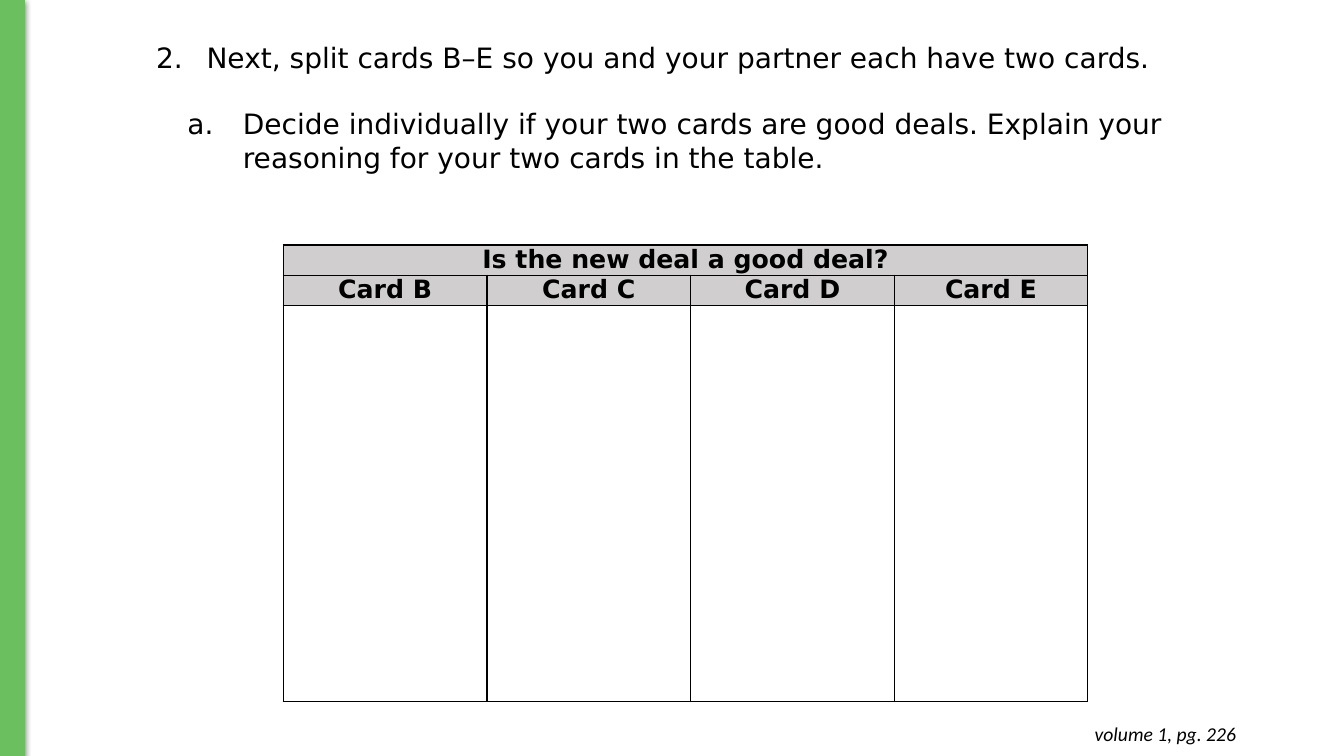
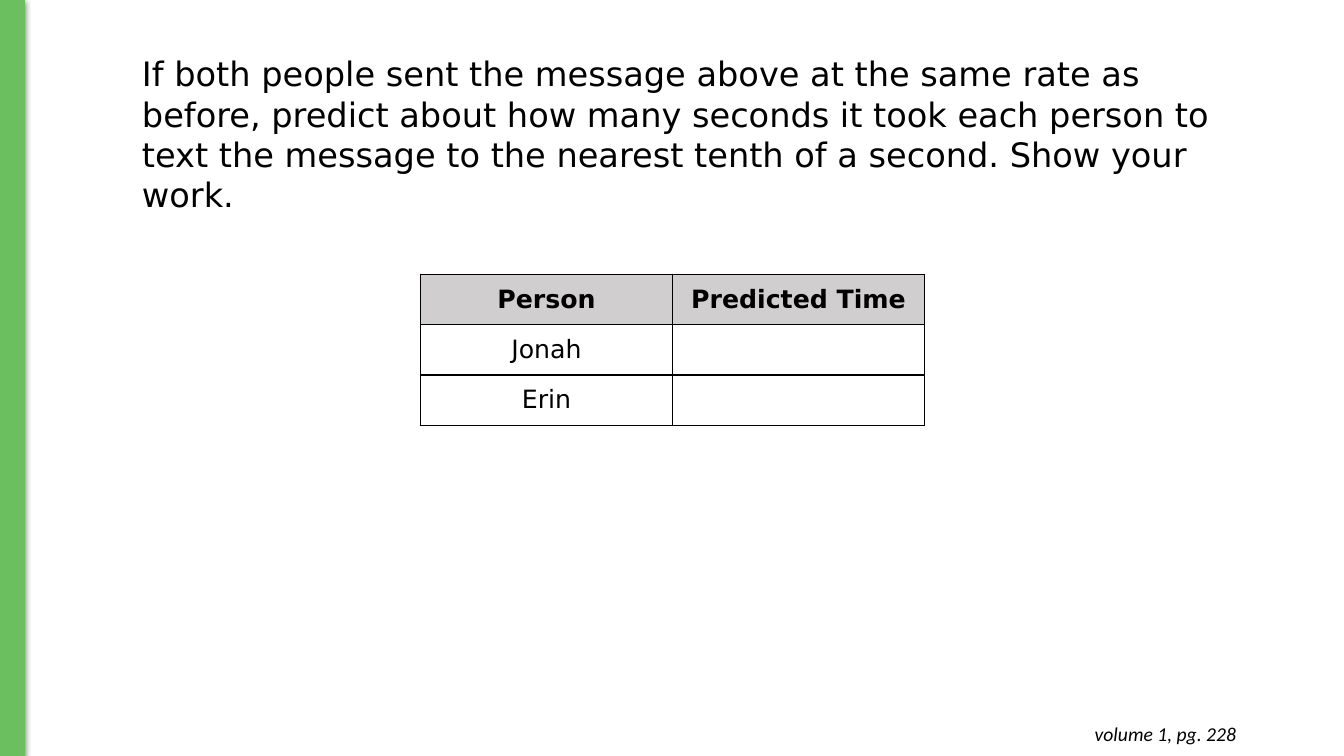
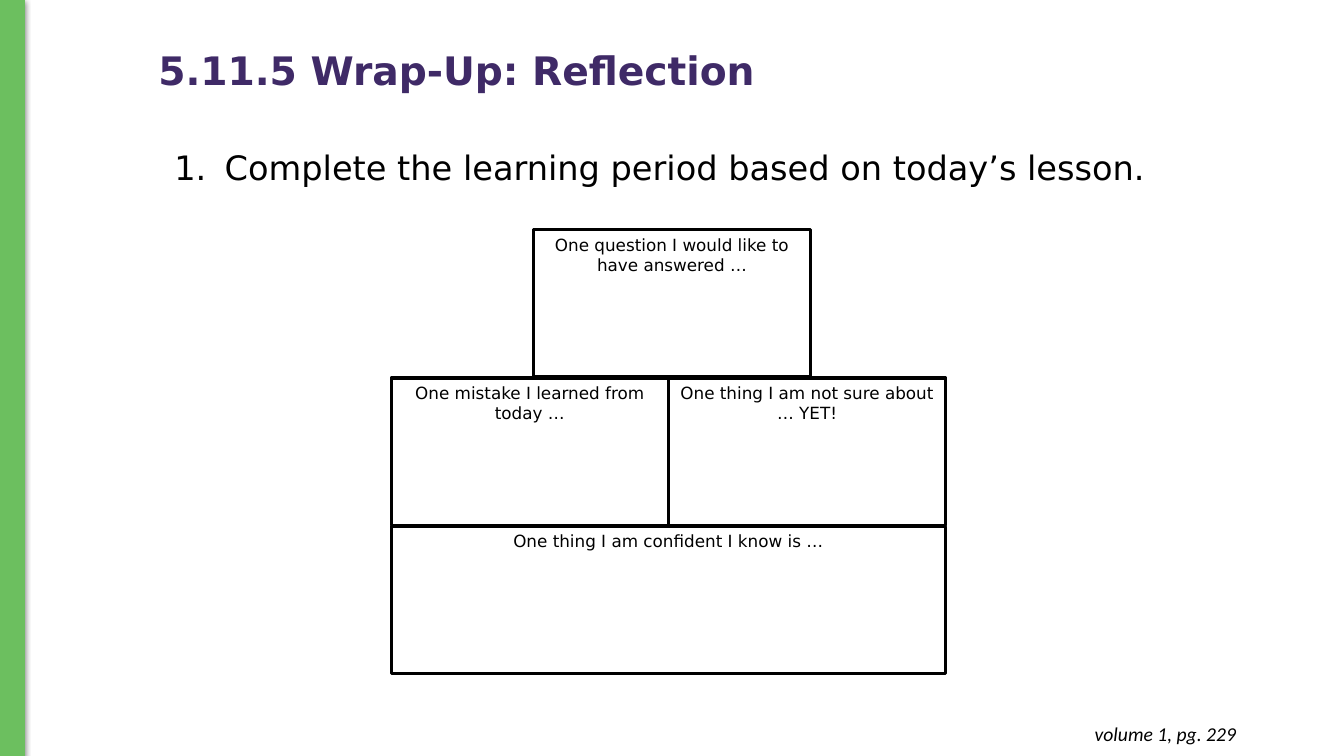
from pptx import Presentation
from pptx.dml.color import RGBColor
from pptx.enum.shapes import MSO_SHAPE
from pptx.enum.text import MSO_ANCHOR, MSO_AUTO_SIZE, PP_ALIGN
from pptx.util import Inches, Pt
from lxml.etree import SubElement
from pptx.oxml.ns import qn

GREEN, PURPLE, GREY = "6CBF5F", "3F2A67", "D0CECE"
BLACK, WHITE = "000000", "FFFFFF"
FONT = "DejaVu Sans"
TITLE_ONLY, BLANK = 5, 6


def color(code):
    return RGBColor.from_string(code)


def tint(parent, code):
    """Add an XML colour below parent."""
    return SubElement(parent, qn("a:srgbClr"), val=code)


class Deck:
    """Holds the style and the current slide."""

    def __init__(self):
        self.prs = Presentation()
        self.prs.slide_width = Inches(13.33)
        self.prs.slide_height = Inches(7.5)

    def start(self, page, title=None):
        """New slide with side band, page note and perhaps a title."""
        layout = BLANK if title is None else TITLE_ONLY
        self.slide = self.prs.slides.add_slide(self.prs.slide_layouts[layout])
        self.band()
        if title:
            self.title(title)
        self.note(page)

    def style(self, para, size, bold=False, italic=False, name=FONT, tone=BLACK):
        font = para.font
        font.name, font.size = name, Pt(size)
        font.bold, font.italic = bold, italic
        font.color.rgb = color(tone)

    def rect(self, box, fill, line, width):
        shape = self.slide.shapes.add_shape(MSO_SHAPE.RECTANGLE, *map(Inches, box))
        shape.fill.solid()
        shape.fill.fore_color.rgb = color(fill)
        shape.line.color.rgb = color(line)
        shape.line.width = Pt(width)
        shape.shadow.inherit = False
        return shape

    def band(self):
        bar = self.rect((0, 0, 0.24, 7.5), GREEN, GREEN, 0.75)
        effects = bar._element.spPr.find(qn("a:effectLst"))
        shade = SubElement(effects, qn("a:outerShdw"), blurRad=str(Pt(4.5)),
                           dist=str(Pt(1.5)), dir="5400000", rotWithShape="0")
        SubElement(tint(shade, BLACK), qn("a:alpha"), val="50000")

    def title(self, text):
        head = self.slide.shapes.title
        head.left, head.top = Inches(1.47), Inches(0)
        head.width, head.height = Inches(8.77), Inches(1.44)
        frame = head.text_frame
        frame.text = text
        frame.auto_size = MSO_AUTO_SIZE.NONE
        frame.vertical_anchor = MSO_ANCHOR.MIDDLE
        para = frame.paragraphs[0]
        para.alignment = PP_ALIGN.LEFT
        para.line_spacing = 0.9
        self.style(para, 28, bold=True, tone=PURPLE)

    def frame(self, box):
        frame = self.slide.shapes.add_textbox(*map(Inches, box)).text_frame
        frame.word_wrap = True
        frame.auto_size = MSO_AUTO_SIZE.SHAPE_TO_FIT_TEXT
        return frame

    def note(self, page):
        frame = self.frame((9.48, 7.06, 2.88, 0.44))
        frame.margin_top = frame.margin_bottom = Inches(0.1)
        para = frame.paragraphs[0]
        para.text = f"volume 1, pg. {page}"
        para.alignment = PP_ALIGN.RIGHT
        self.style(para, 14, italic=True, name="Calibri")

    def text(self, box, size, items, gap=0):
        """Each item is (text, mark); a mark is (kind, start, left, hang)."""
        frame = self.frame(box)
        for i, (words, mark) in enumerate(items):
            para = frame.add_paragraph() if i else frame.paragraphs[0]
            para.text = words
            if i:
                para.space_before = Pt(gap)
            if mark:
                self.number(para, *mark)
            self.style(para, size)

    def number(self, para, kind, start, left, hang):
        props = para._p.get_or_add_pPr()
        props.set("marL", str(Inches(left)))
        props.set("indent", str(-Inches(hang)))
        tint(SubElement(props, qn("a:buClr")), BLACK)
        SubElement(props, qn("a:buAutoNum"), type=kind, startAt=str(start))

    def table(self, spot, cols, rows, cells, heads, side, anchor):
        """Grid whose first heads rows are bold on grey."""
        size = sum(cols), sum(rows)
        grid = self.slide.shapes.add_table(
            len(rows), len(cols), *map(Inches, spot + size)).table
        grid.first_row = grid.horz_banding = False
        for col, width in zip(grid.columns, cols):
            col.width = Inches(width)
        for row, height in zip(grid.rows, rows):
            row.height = Inches(height)
        for r, row in enumerate(grid.rows):
            for cell, words in zip(row.cells, cells[r]):
                self.cell(cell, words, r < heads, side, anchor)
        return grid

    def cell(self, cell, words, head, side, anchor):
        cell.margin_left = cell.margin_right = Inches(side)
        cell.margin_top = cell.margin_bottom = 0
        cell.vertical_anchor = anchor
        props = cell._tc.get_or_add_tcPr()
        for edge in "LRTB":
            line = SubElement(props, qn(f"a:ln{edge}"), w=str(Pt(1)))
            tint(SubElement(line, qn("a:solidFill")), BLACK)
        if head:
            cell.fill.solid()
            cell.fill.fore_color.rgb = color(GREY)
        else:
            cell.fill.background()
        para = cell.text_frame.paragraphs[0]
        para.text = words
        para.alignment = PP_ALIGN.CENTER
        self.style(para, 18, bold=head)

    def block(self, box, words):
        frame = self.rect(box, WHITE, BLACK, 2.25).text_frame
        frame.word_wrap = True
        frame.vertical_anchor = MSO_ANCHOR.TOP
        para = frame.paragraphs[0]
        para.text = words
        para.alignment = PP_ALIGN.CENTER
        para.space_after = Pt(10)
        self.style(para, 12)


def main():
    deck = Deck()

    # Card deals
    deck.start(226)
    deck.text((1.31, 0.35, 10.89, 1.45), 20, [
        ("Next, split cards B–E so you and your partner each have two cards.",
         ("arabicPeriod", 2, 0.64, 0.5)),
        ("Decide individually if your two cards are good deals. Explain your "
         "reasoning for your two cards in the table.",
         ("alphaLcPeriod", 1, 1, 0.55)),
    ], gap=23.5)
    grid = deck.table(
        (2.81, 2.43), [2.02, 2.02, 2.02, 1.92], [0.28, 0.28, 3.93],
        [["Is the new deal a good deal?", "", "", ""],
         [f"Card {card}" for card in "BCDE"],
         [""] * 4],
        heads=2, side=0.06, anchor=MSO_ANCHOR.TOP)
    grid.cell(0, 0).merge(grid.cell(0, 3))

    # Texting times
    deck.start(228)
    deck.text((1.31, 0.48, 11.1, 1.72), 24, [
        ("If both people sent the message above at the same rate as before, "
         "predict about how many seconds it took each person to text the "
         "message to the nearest tenth of a second. Show your work.", None)])
    deck.table(
        (4.17, 2.72), [2.5] * 2, [0.5] * 3,
        [["Person", "Predicted Time"], ["Jonah", ""], ["Erin", ""]],
        heads=1, side=0.07, anchor=MSO_ANCHOR.MIDDLE)

    # Reflection pyramid
    deck.start(229, "5.11.5 Wrap-Up: Reflection")
    deck.text((1.63, 1.41, 10.62, 0.5), 24, [
        ("Complete the learning period based on today’s lesson.",
         ("arabicPeriod", 1, 0.5, 0.5))])
    left, top, half, high, step = 3.88, 2.28, 2.75, 1.46, 1.47
    for x, row, width, words in [
        (5.29, 0, half, "One question I would like to have answered …"),
        (left, 1, half, "One mistake I learned from today …"),
        (left + half, 1, half, "One thing I am not sure about … YET!"),
        (left, 2, 2 * half, "One thing I am confident I know is …"),
    ]:
        deck.block((x, top + row * step, width, high), words)

    deck.prs.save("out.pptx")


if __name__ == "__main__":
    main()
